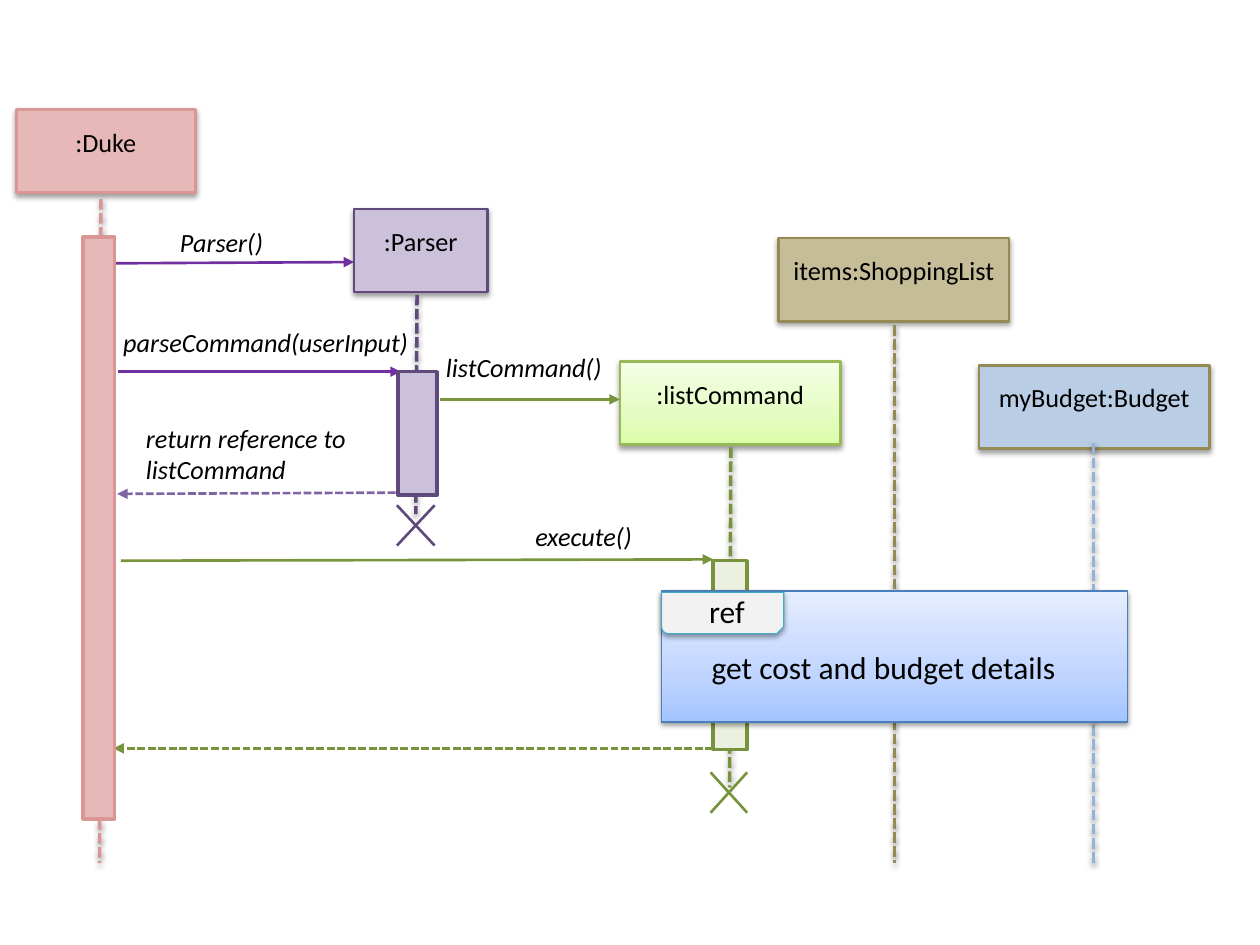
"""Build a sequence diagram for the list command."""
from dataclasses import dataclass
from typing import Optional, Tuple

from lxml import etree
from pptx import Presentation
from pptx import util as u
from pptx.dml.color import RGBColor
from pptx.enum import dml, shapes, text
from pptx.oxml import ns

Point = Tuple[float, float]
Frame = Tuple[float, float, float, float]

BLACK = RGBColor(0x00, 0x00, 0x00)
ROSE = RGBColor(0xE6, 0xB9, 0xB8)
RED = RGBColor(0xD9, 0x96, 0x94)
LILAC = RGBColor(0xCC, 0xC1, 0xDA)
PLUM = RGBColor(0x60, 0x4A, 0x7B)
PURPLE = RGBColor(0x70, 0x30, 0xA0)
MAUVE = RGBColor(0x80, 0x64, 0xA2)
PALE = RGBColor(0xEB, 0xF1, 0xDE)
LIME = RGBColor(0x98, 0xB9, 0x55)
GREEN = RGBColor(0x77, 0x93, 0x3C)
SAND = RGBColor(0xC4, 0xBD, 0x97)
BROWN = RGBColor(0x94, 0x8A, 0x54)
SKY = RGBColor(0xB9, 0xCD, 0xE5)
AZURE = RGBColor(0x95, 0xB3, 0xD7)
BLUE = RGBColor(0x4B, 0x7E, 0xBC)
TEAL = RGBColor(0x46, 0xAA, 0xC5)
GREY = RGBColor(0xF2, 0xF2, 0xF2)
LEAVES = (RGBColor(0xDA, 0xFD, 0xA7), RGBColor(0xE4, 0xFC, 0xC2), RGBColor(0xF5, 0xFF, 0xE7))
WAVES = (RGBColor(0xA4, 0xC4, 0xFF), RGBColor(0xBF, 0xD4, 0xFF), RGBColor(0xE6, 0xEE, 0xFF))


@dataclass
class Block:
    frame: Frame
    fill: object
    edge: RGBColor
    width: float = 1.5
    label: str = ""
    shade: bool = True
    kind: shapes.MSO_SHAPE = shapes.MSO_SHAPE.RECTANGLE


@dataclass
class Stroke:
    start: Point
    end: Point
    tint: RGBColor
    width: float = 1.5
    dash: bool = False
    arrow: bool = False
    shade: bool = False


@dataclass
class Note:
    words: str
    frame: Frame
    size: int = 15
    slant: bool = True


HEADS = [
    Block((0.13, 0.87, 1.42, 0.66), ROSE, RED, label=":Duke"),
    Block((2.81, 1.66, 1.06, 0.66), LILAC, PLUM, label=":Parser"),
    Block((4.92, 2.87, 1.75, 0.66), LEAVES, LIME, label=":listCommand"),
    Block((6.18, 1.89, 1.83, 0.66), SAND, BROWN, label="items:ShoppingList"),
    Block((7.77, 2.9, 1.83, 0.66), SKY, BROWN, label="myBudget:Budget"),
]
LIVES = [
    Stroke(start, end, tint, 2, dash=True, shade=True)
    for start, end, tint in [
        ((0.8, 1.58), (0.79, 6.85), RED),
        ((3.31, 2.34), (3.3, 4.08), PLUM),
        ((5.8, 3.55), (5.79, 6.25), GREEN),
        ((7.1, 2.58), (7.1, 6.85), BROWN),
        ((8.68, 3.52), (8.68, 6.85), AZURE),
    ]
]
BARS = [
    Block((0.66, 1.88, 0.25, 4.62), ROSE, RED, 2, shade=False),
    Block((3.16, 2.95, 0.31, 0.98), LILAC, PLUM, 2, shade=False),
    Block((5.66, 4.45, 0.27, 1.5), PALE, GREEN, 2, shade=False),
]
CALLS = [
    Stroke(start, end, tint, dash=dash, arrow=True)
    for start, end, tint, dash in [
        ((0.9, 2.09), (2.81, 2.08), PURPLE, False),
        ((0.94, 2.95), (3.18, 2.95), PURPLE, False),
        ((3.49, 3.17), (4.92, 3.17), GREEN, False),
        ((3.14, 3.91), (0.93, 3.92), MAUVE, True),
        ((0.96, 4.45), (5.66, 4.44), GREEN, False),
        ((5.66, 5.94), (0.9, 5.94), GREEN, True),
    ]
]
ENDS = [((3.15, 4.01, 0.3, 0.32), PLUM), ((5.64, 6.13, 0.29, 0.32), GREEN)]
PANEL = Block((5.25, 4.69, 3.7, 1.04), WAVES, BLUE, 0.75)
TAB = Block((5.25, 4.7, 0.97, 0.33), GREY, TEAL, 0.75,
            kind=shapes.MSO_SHAPE.SNIP_ROUND_RECTANGLE)
NOTES = [
    Note("Parser()", (1.33, 1.75, 1.29, 0.35)),
    Note("parseCommand(userInput)", (0.88, 2.54, 2.73, 0.35)),
    Note("listCommand()", (3.44, 2.74, 1.53, 0.35)),
    Note("return reference to listCommand", (1.06, 3.3, 1.87, 0.61)),
    Note("execute()", (4.15, 4.08, 0.97, 0.35)),
    Note("get cost and budget details", (5.55, 5.09, 3.46, 0.4), 18, False),
    Note("ref", (5.53, 4.65, 0.57, 0.6), 18, False),
]


def add(node, tag: str, **attrs: str):
    return etree.SubElement(node, ns.qn(tag), attrs)


def set_shade(item, shade: bool) -> None:
    effect = add(item._element.spPr, "a:effectLst")
    if shade:
        cast = add(effect, "a:outerShdw", blurRad="40000", dist="20000",
                   dir="5400000", rotWithShape="0")
        add(add(cast, "a:srgbClr", val=str(BLACK)), "a:alpha", val="38000")


def set_blend(item, tints: Tuple[RGBColor, ...]) -> None:
    item.fill.gradient()
    item.fill.gradient_angle = 90
    stops = item._element.spPr.find(".//" + ns.qn("a:gsLst"))
    for stop in list(stops):
        stops.remove(stop)
    for spot, tint in zip((0, 35, 100), tints):
        add(add(stops, "a:gs", pos=str(spot * 1000)), "a:srgbClr", val=str(tint))


def put_text(item, words: str, *, size: int = 15, slant: bool = False,
             align: Optional[text.PP_ALIGN] = None) -> None:
    item.text_frame.word_wrap = True
    para = item.text_frame.paragraphs[0]
    para.alignment = align
    run = para.add_run()
    run.text = words
    run.font.name = "Calibri"
    run.font.size = u.Pt(size)
    run.font.italic = slant
    run.font.color.rgb = BLACK


def draw_block(slide, block: Block):
    item = slide.shapes.add_shape(block.kind, *map(u.Inches, block.frame))
    if isinstance(block.fill, RGBColor):
        item.fill.solid()
        item.fill.fore_color.rgb = block.fill
    else:
        set_blend(item, block.fill)
    item.line.color.rgb = block.edge
    item.line.width = u.Pt(block.width)
    set_shade(item, block.shade)
    if block.label:
        put_text(item, block.label, align=text.PP_ALIGN.CENTER)
        item.text_frame.vertical_anchor = text.MSO_ANCHOR.TOP
        item.text_frame.margin_top = u.Inches(0.13)
    return item


def draw_stroke(slide, stroke: Stroke) -> None:
    item = slide.shapes.add_connector(
        shapes.MSO_CONNECTOR.STRAIGHT, *map(u.Inches, stroke.start + stroke.end))
    item.line.color.rgb = stroke.tint
    item.line.width = u.Pt(stroke.width)
    if stroke.dash:
        item.line.dash_style = dml.MSO_LINE.SQUARE_DOT
    if stroke.arrow:
        add(item.line._get_or_add_ln(), "a:tailEnd", type="triangle")
    set_shade(item, stroke.shade)


def draw_cross(slide, frame: Frame, tint: RGBColor) -> None:
    left, top, width, height = frame
    right, base = left + width, top + height
    draw_stroke(slide, Stroke((right, base), (left, top), tint))
    draw_stroke(slide, Stroke((right, top), (left, base), tint))


def draw_note(slide, note: Note) -> None:
    item = slide.shapes.add_textbox(*map(u.Inches, note.frame))
    put_text(item, note.words, size=note.size, slant=note.slant)


def main() -> None:
    deck = Presentation()
    deck.slide_width, deck.slide_height = u.Inches(10), u.Inches(7.5)
    slide = deck.slides.add_slide(deck.slide_layouts[6])
    for head in HEADS:
        draw_block(slide, head)
    for stroke in LIVES + CALLS:
        draw_stroke(slide, stroke)
    for block in BARS + [PANEL]:
        draw_block(slide, block)
    tab = draw_block(slide, TAB)
    tab.rotation = 180
    tab._element.spPr.xfrm.set("flipH", "1")
    for frame, tint in ENDS:
        draw_cross(slide, frame, tint)
    for note in NOTES:
        draw_note(slide, note)
    deck.save("out.pptx")


if __name__ == "__main__":
    main()
